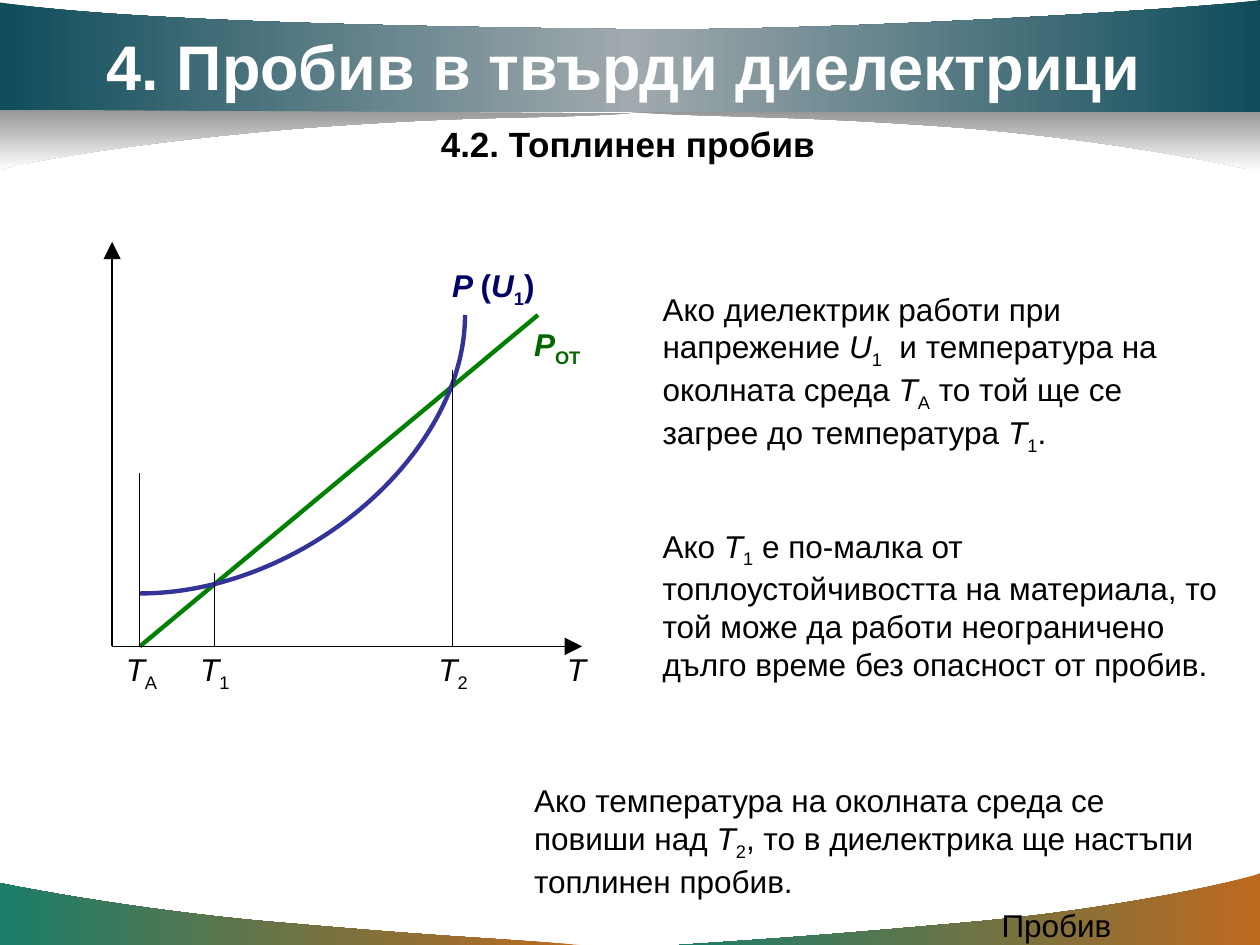
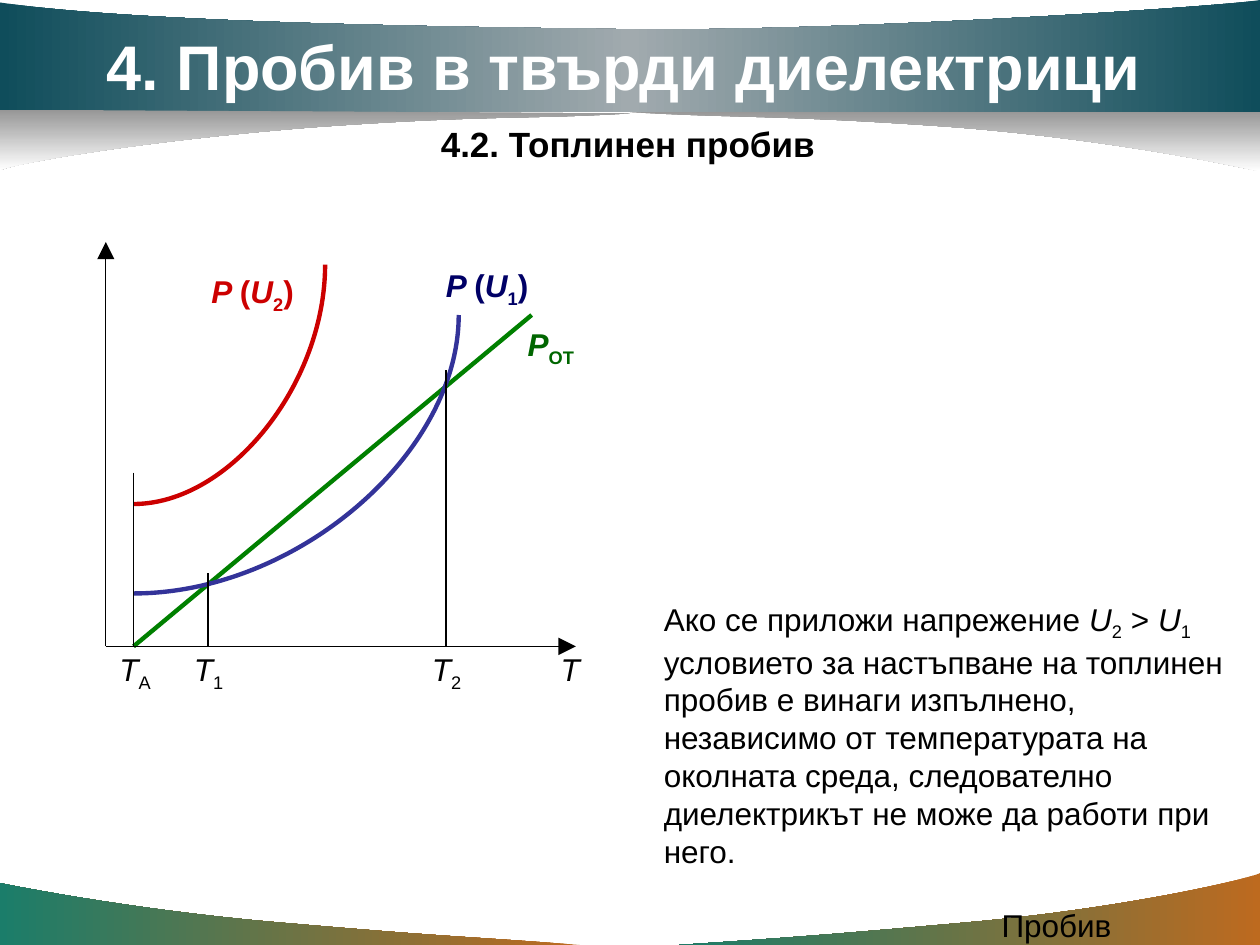
from lxml.etree import SubElement
from pptx import Presentation
from pptx.dml.color import RGBColor
from pptx.enum.shapes import MSO_CONNECTOR as CONN
from pptx.oxml.ns import qn
from pptx.util import Inches, Pt

FONT = "Arial"
COLORS = {
    "black": "000000", "white": "FFFFFF", "grey": "969696",
    "teal": "0F4D5B", "silver": "A1AAAE", "green": "1B7D6A", "orange": "BD6A1F",
    "loss": "008000", "loss_text": "006600",
    "u1": "333399", "u1_text": "000066", "u2": "CC0000",
}
HEADER = (["teal", "silver", "teal"], 180)
SHADE = (["grey", "white"], 90)
FOOTER = (["orange", "green"], 180)
BANDS = [
    (FOOTER, [(4.6, 7.5), (3.84, 7.44, 3.58, 7.44, 2.32, 7.33),
              (1.06, 7.23, 0.01, 7.01, 0, 7.01), (0, 7.5)]),
    (FOOTER, [(5.39, 7.5), (6.14, 7.45, 6.46, 7.43, 7.69, 7.32),
              (8.92, 7.21, 9.9, 6.98, 10, 6.93), (10, 7.5)]),
    (SHADE, [(5, 0.89), (5.84, 0.94, 6.2, 0.91, 7.58, 1.01),
             (8.97, 1.12, 9.98, 1.36, 10, 1.36), (10, 0.88)]),
    (HEADER, [(0, 0.89), (10, 0.89), (10, 0), (9.64, 0.06, 6.53, 0.26, 4.87, 0.23),
              (3.21, 0.21, 1.01, 0.17, 0, 0.02)]),
    (SHADE, [(5, 0.9), (4.16, 0.95, 3.88, 0.91, 2.49, 1.01),
             (1.1, 1.12, 0.11, 1.3, 0, 1.35), (0, 0.87)]),
]


def add_text(slide, text, left, top, width, height, size=18, color="black",
             bold=False, wrap=True):
    """Add a text box; in text, | parts runs, / starts an italic one and _ a subscript."""
    tf = slide.shapes.add_textbox(
        Inches(left), Inches(top), Inches(width), Inches(height)).text_frame
    tf.word_wrap = wrap
    p = tf.paragraphs[0]
    for part in text.split("|"):
        r = p.add_run()
        r.text = part.lstrip("/_")
        f = r.font
        f.name, f.size, f.bold = FONT, Pt(size), bold
        f.italic = part.startswith("/")
        f.color.rgb = RGBColor.from_string(COLORS[color])
        if part.startswith("_"):
            f._element.set("baseline", "-25000")


def add_line(slide, start, end, color="black", width=0.75, curved=False, arrow=False):
    """Draw a straight line or a quarter curve that rises from start to end."""
    kind = CONN.CURVE if curved else CONN.STRAIGHT
    line = slide.shapes.add_connector(kind, *map(Inches, start + end))
    line.line.color.rgb = RGBColor.from_string(COLORS[color])
    line.line.width = Pt(width)
    spPr = line._element.spPr
    if curved:
        spPr.find(qn("a:prstGeom")).set("prst", "curvedConnector2")
        xfrm = spPr.find(qn("a:xfrm"))
        xfrm.attrib.pop("flipV", None)
        xfrm.set("rot", "10800000")
        xfrm.set("flipH", "1")
    if arrow:
        SubElement(spPr.find(qn("a:ln")), qn("a:tailEnd"), type="triangle", w="lg", len="lg")
    SubElement(spPr, qn("a:effectLst"))


def bend(sp, segments):
    """Turn the straight sides of a freeform into curves where a segment has controls."""
    sides = list(sp._element.spPr.iter(qn("a:lnTo")))
    for side, seg in zip(sides, segments):
        if len(seg) == 6:
            side.tag = qn("a:cubicBezTo")
            end = side[0]
            for x, y in (seg[:2], seg[2:4]):
                end.addprevious(end.makeelement(qn("a:pt"), {
                    "x": str(Inches(x) - sp.left), "y": str(Inches(y) - sp.top)}))


def fill_gradient(sp, names, angle):
    """Fill a shape with evenly spaced colour stops."""
    sp.fill.background()
    no_fill = sp._element.spPr.find(qn("a:noFill"))
    grad = SubElement(sp._element.spPr, qn("a:gradFill"), rotWithShape="1")
    stops = SubElement(grad, qn("a:gsLst"))
    for i, name in enumerate(names):
        gs = SubElement(stops, qn("a:gs"), pos=str(100000 * i // (len(names) - 1)))
        SubElement(gs, qn("a:srgbClr"), val=COLORS[name])
    SubElement(grad, qn("a:lin"), ang=str(angle * 60000), scaled="0")
    no_fill.getparent().replace(no_fill, grad)


def add_bands(slide):
    """Draw the curved bands and hand them to the layout of the slide."""
    for (names, angle), (start, *segments) in BANDS:
        fb = slide.shapes.build_freeform(*map(Inches, start))
        fb.add_line_segments([tuple(map(Inches, seg[-2:])) for seg in segments], close=True)
        sp = fb.convert_to_shape()
        bend(sp, segments)
        sp.shadow.inherit = False
        sp.line.fill.background()
        fill_gradient(sp, names, angle)
        slide.slide_layout.shapes._spTree.append(sp._element)


def add_headings(slide):
    """Add the title, the subtitle and the footer word."""
    add_text(slide, "Пробив", 7.85, 7.14, 2.08, 0.25)
    add_text(slide, "4. Пробив в твърди диелектрици", 0.75, 0.17, 8.44, 0.7,
             size=36, color="white", bold=True)
    add_text(slide, "4.2. Топлинен пробив", 3.4, 0.92, 3.18, 0.43, size=20, bold=True)


def add_diagram(slide, left, top, width=3.73, height=3.21, second_voltage=False):
    """Draw the power against temperature diagram with its axes in the given box."""
    def at(x, y):
        return left + x, top + y

    def label(text, x, y, w, **fmt):
        add_text(slide, text, *at(x, y), w, 0.4, wrap=False, **fmt)

    ambient = 0.22
    add_line(slide, at(ambient, height), at(3.38, 0.58), "loss", 2.5)
    label("/P|_ОТ", 3.25, 0.61, 0.83, color="loss_text", bold=True)
    if second_voltage:
        add_line(slide, at(ambient, 2.08), at(1.74, 0.18), "u2", 2.5, curved=True)
        label("/P |(|/U|_2|)", 0.74, 0.19, 1, color="u2", bold=True)
    for end in ((width, height), (0, 0)):
        add_line(slide, at(0, height), at(*end), arrow=True)
    label("/T", 3.51, 3.19, 0.35)
    add_line(slide, at(ambient, 2.79), at(2.8, 0.58), "u1", 2.5, curved=True)
    label("/P |(|/U|_1|)", 2.6, 0.14, 1, color="u1_text", bold=True)
    for sub, x, y, w in (("А", ambient, 1.83, 0.47), ("1", 0.81, 2.63, 0.45),
                         ("2", 2.7, 1.02, 0.45)):
        add_line(slide, at(x, y), at(x, height))
        label(f"/T|_{sub}", x - 0.21, 3.19, w)


def build_first_voltage(slide):
    """Fill the slide on heating at the first voltage."""
    add_headings(slide)
    add_diagram(slide, 0.89, 1.92)
    add_text(slide, "Ако диелектрик работи при напрежение |/U|_1|  и температура на "
             "околната среда |/T|_A| то той ще се загрее до температура |/T|_1|.",
             5.16, 2.25, 4.61, 1.3)
    add_text(slide, "Ако |/T|_1| е по-малка от топлоустойчивостта на материала, то той "
             "може да работи неограничено дълго време без опасност от пробив.",
             5.16, 4.13, 4.61, 1.3)
    add_text(slide, "Ако температура на околната среда се повиши над |/T|_2|, "
             "то в диелектрика ще настъпи топлинен пробив.", 4.14, 6.15, 5.62, 1)


def build_second_voltage(slide):
    """Fill the slide on breakdown at the higher voltage."""
    add_headings(slide)
    add_diagram(slide, 0.84, 1.92, second_voltage=True)
    add_text(slide, "Ако се приложи напрежение |/U|_2| > |/U|_1|  условието за настъпване "
             "на топлинен пробив е винаги изпълнено, независимо от температурата на "
             "околната среда, следователно диелектрикът не може да работи при него.",
             5.17, 4.71, 4.83, 2.2)


def main():
    """Build and save the presentation."""
    prs = Presentation()
    prs.slide_width, prs.slide_height = Inches(10), Inches(7.5)
    slides = [prs.slides.add_slide(prs.slide_layouts[6]) for _ in range(2)]
    add_bands(slides[0])
    build_first_voltage(slides[0])
    build_second_voltage(slides[1])
    prs.save("out.pptx")


if __name__ == "__main__":
    main()
